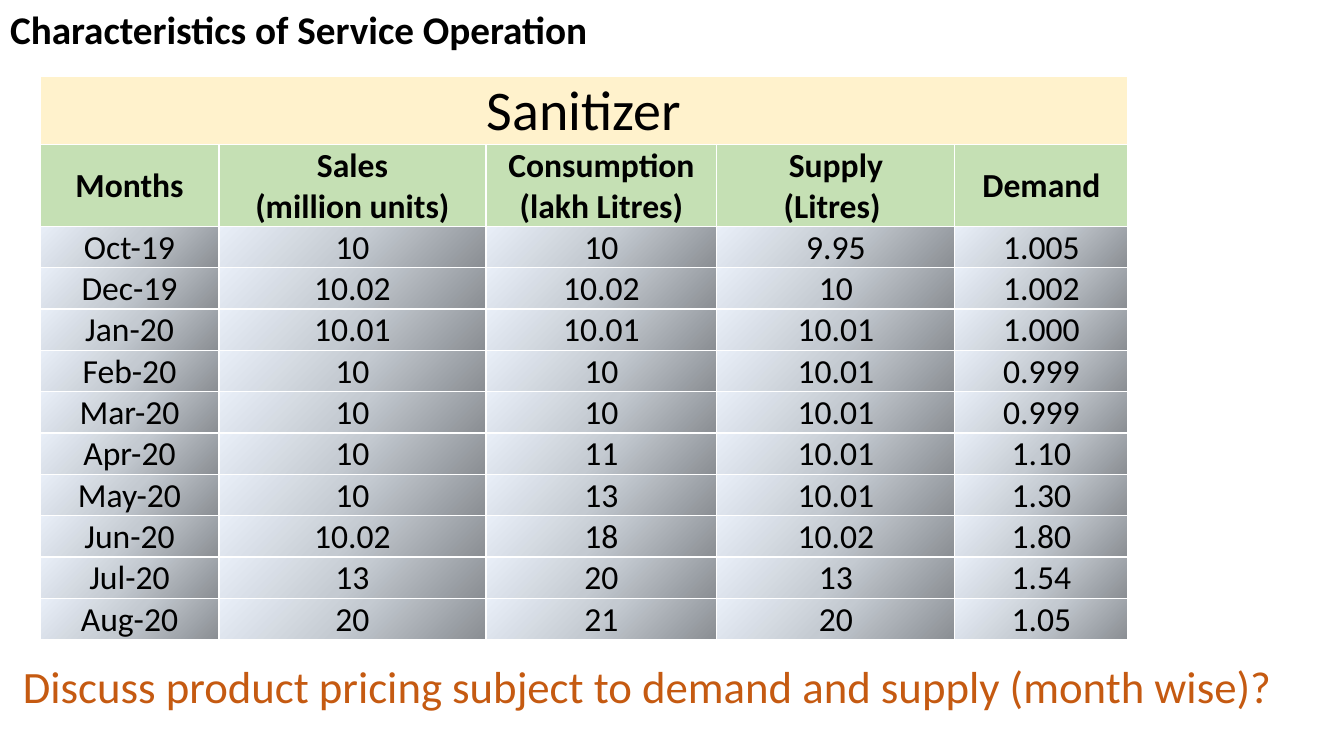
from lxml.etree import SubElement
from pptx import Presentation
from pptx.dml.color import RGBColor
from pptx.enum.text import MSO_ANCHOR as Anchor, MSO_AUTO_SIZE as AutoSize, PP_ALIGN as Align
from pptx.oxml.ns import qn
from pptx.util import Emu, Pt

# Content
TITLE = "Characteristics of Service Operation"
QUESTION = "Discuss product pricing subject to demand and supply (month wise)?"
PRODUCT = "Sanitizer"
HEADERS = ["Months", "Sales\v(million units)", "Consumption\v(lakh Litres)",
           "Supply\v(Litres) ", "Demand"]
MONTHS = [
    ("Oct-19", "10", "10", "9.95", "1.005"),
    ("Dec-19", "10.02", "10.02", "10", "1.002"),
    ("Jan-20", "10.01", "10.01", "10.01", "1.000"),
    ("Feb-20", "10", "10", "10.01", "0.999"),
    ("Mar-20", "10", "10", "10.01", "0.999"),
    ("Apr-20", "10", "11", "10.01", "1.10"),
    ("May-20", "10", "13", "10.01", "1.30"),
    ("Jun-20", "10.02", "18", "10.02", "1.80"),
    ("Jul-20", "13", "20", "13", "1.54"),
    ("Aug-20", "20", "21", "20", "1.05"),
]

# Look
FONT = "Calibri"
COLORS = {"text": "000000", "question": "C55A11", "product": "FFF2CC",
          "header": "C5E0B4", "border": "FFFFFF"}
SHADES = {0: "8A8E93", 50: "C4CAD1", 100: "E9EFF8"}
COLUMN_WIDTHS = [179, 267, 231, 238, 173]
ROW_HEIGHTS = [68, 82] + [41] * len(MONTHS)


def px(count):
    return Emu(round(count * 914400 / 100.8))


def style(para, size, color="text", bold=False, align=Align.LEFT):
    para.alignment = align
    para.font.name = FONT
    para.font.size = Pt(size)
    para.font.bold = bold
    para.font.color.rgb = RGBColor.from_string(COLORS[color])


def fill_line(shape, text, place, size, **look):
    shape.left, shape.top, shape.width, shape.height = map(px, place)
    frame = shape.text_frame
    frame.word_wrap = True
    frame.auto_size = AutoSize.SHAPE_TO_FIT_TEXT
    frame.vertical_anchor = Anchor.TOP
    frame.text = text
    style(frame.paragraphs[0], size, **look)


def add_color(parent, color):
    SubElement(SubElement(parent, qn("a:solidFill")), qn("a:srgbClr"), val=color)


def add_borders(cell):
    for side in ("a:lnL", "a:lnR", "a:lnT", "a:lnB"):
        line = SubElement(cell._tc.get_or_add_tcPr(), qn(side), w=str(Pt(1)))
        add_color(line, COLORS["border"])


def add_gradient(cell):
    gradient = SubElement(cell._tc.get_or_add_tcPr(), qn("a:gradFill"), rotWithShape="1")
    stops = SubElement(gradient, qn("a:gsLst"))
    for percent, color in SHADES.items():
        stop = SubElement(stops, qn("a:gs"), pos=str(percent * 1000))
        SubElement(stop, qn("a:srgbClr"), val=color)
    circle = SubElement(gradient, qn("a:path"), path="circle")
    SubElement(circle, qn("a:fillToRect"), l="100000", t="100000")


def fill_cell(cell, text, size, color=None, bold=False, anchor=Anchor.MIDDLE):
    cell.margin_left = cell.margin_right = cell.margin_top = px(1)
    cell.margin_bottom = 0
    cell.vertical_anchor = anchor
    cell.text_frame.text = text
    style(cell.text_frame.paragraphs[0], size, bold=bold, align=Align.CENTER)
    add_borders(cell)
    if color:
        cell.fill.solid()
        cell.fill.fore_color.rgb = RGBColor.from_string(COLORS[color])
    else:
        add_gradient(cell)


deck = Presentation()
deck.slide_width, deck.slide_height = px(1344), px(756)
page = deck.slides.add_slide(deck.slide_layouts[5])

# Title
fill_line(page.shapes.title, TITLE, (0, 0, 1140, 57), 28, bold=True)

# Table
table = page.shapes.add_table(
    len(ROW_HEIGHTS), len(HEADERS), px(40), px(76),
    px(sum(COLUMN_WIDTHS)), px(sum(ROW_HEIGHTS))).table
for column, width in zip(table.columns, COLUMN_WIDTHS):
    column.width = px(width)
for row, height in zip(table.rows, ROW_HEIGHTS):
    row.height = px(height)

table.cell(0, 0).merge(table.cell(0, len(HEADERS) - 1))
fill_cell(table.cell(0, 0), PRODUCT, 40, "product", anchor=Anchor.BOTTOM)
for index, header in enumerate(HEADERS):
    fill_cell(table.cell(1, index), header, 24, "header", bold=True)
for row_index, values in enumerate(MONTHS, start=2):
    for index, value in enumerate(values):
        fill_cell(table.cell(row_index, index), value, 24)

# Question
question_box = page.shapes.add_textbox(0, 0, 0, 0)
fill_line(question_box, QUESTION, (13, 654, 1303, 65), 32, color="question")

deck.save("out.pptx")
